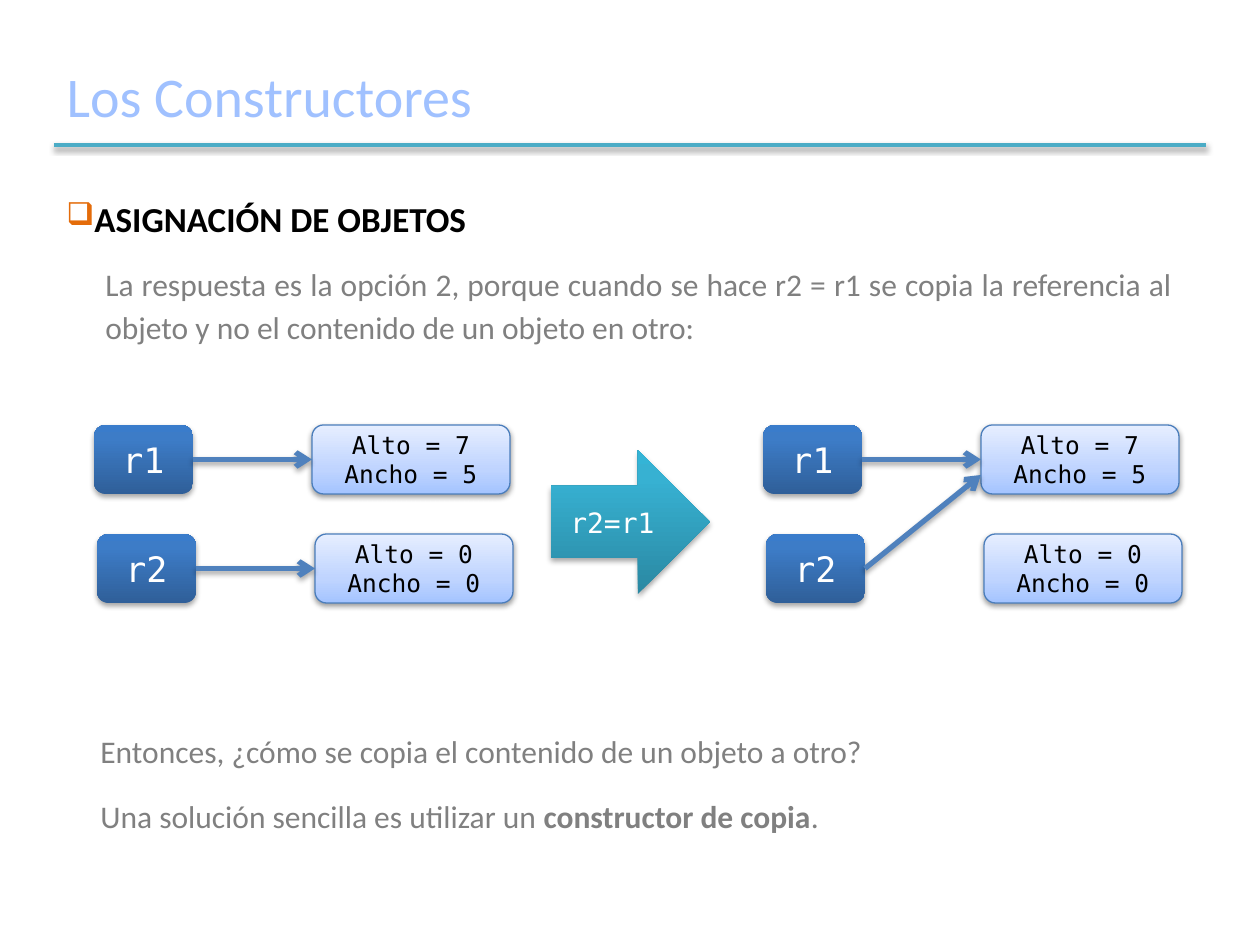
from lxml.etree import SubElement
from pptx import Presentation
from pptx.dml.color import RGBColor
from pptx.enum.shapes import MSO_CONNECTOR, MSO_SHAPE
from pptx.enum.text import MSO_ANCHOR, PP_ALIGN
from pptx.oxml.ns import qn
from pptx.util import Emu, Pt

TITLE = RGBColor(0xA0, 0xC1, 0xFF)
TEAL = RGBColor(0x4B, 0xAC, 0xC6)
BLUE = RGBColor(0x4F, 0x81, 0xBD)
OUTLINE = RGBColor(0x4B, 0x7E, 0xBC)
ORANGE = RGBColor(0xE4, 0x6C, 0x0A)
GRAY = RGBColor(0x80, 0x80, 0x80)
BLACK = RGBColor(0, 0, 0)
WHITE = RGBColor(255, 255, 255)

REF_FILL = [(0, RGBColor(0x2F, 0x5F, 0x99)), (80, RGBColor(0x3D, 0x7C, 0xC7)),
            (100, RGBColor(0x3A, 0x7C, 0xCB))]
OBJECT_FILL = [(0, RGBColor(0xA4, 0xC4, 0xFF)), (35, RGBColor(0xBF, 0xD4, 0xFF)),
               (100, RGBColor(0xE6, 0xEE, 0xFF))]
ARROW_FILL = [(0, RGBColor(0x2A, 0x88, 0xA2)), (80, RGBColor(0x37, 0xB1, 0xD2)),
              (100, RGBColor(0x34, 0xB4, 0xD6))]

SANS, MONO = "Calibri", "DejaVu Sans Mono"
HEADING = {"name": SANS, "size": Pt(20), "bold": True}
BODY = {"name": SANS, "size": Pt(18), "bold": False}
STRONG = {**BODY, "bold": True}
REF_FONT = {"name": MONO, "size": Pt(20)}
OBJECT_FONT = {"name": MONO, "size": Pt(14)}
ARROW_FONT = {"name": MONO, "size": Pt(16)}
SPACING = {"alignment": PP_ALIGN.JUSTIFY, "line_spacing": 1.14,
           "space_before": Pt(6), "space_after": Pt(6)}


def px(n):
    return Emu(round(n * 914400 / 126))


def box(*lengths):
    return [px(n) for n in lengths]


def add_run(p, text, font, color):
    r = p.add_run()
    r.text = text
    for key, value in font.items():
        setattr(r.font, key, value)
    r.font.color.rgb = color


def add_color(parent, color):
    return SubElement(parent, qn("a:srgbClr"), val=str(color))


def add_shadow(sp, alpha, dist):
    effects = SubElement(sp.element.spPr, qn("a:effectLst"))
    shadow = SubElement(effects, qn("a:outerShdw"), blurRad="40000", dist=str(dist),
                        dir="5400000", rotWithShape="0")
    SubElement(add_color(shadow, BLACK), qn("a:alpha"), val=str(alpha * 1000))


def set_gradient(sp, stops):
    sp.fill.gradient()
    sp.fill.gradient_angle = 90
    grad = sp.element.spPr.find(qn("a:gradFill"))
    stop_list = grad.find(qn("a:gsLst"))
    for old in list(stop_list):
        stop_list.remove(old)
    for position, color in stops:
        add_color(SubElement(stop_list, qn("a:gs"), pos=str(position * 1000)), color)


def add_block(s, kind, at, lines, stops, font, color, outline=None):
    sp = s.shapes.add_shape(kind, *box(*at))
    set_gradient(sp, stops)
    if outline:
        sp.line.color.rgb = outline
        sp.line.width = Pt(0.75)
        add_shadow(sp, 38, 20000)
    else:
        sp.line.fill.background()
        add_shadow(sp, 35, 23000)
    tf = sp.text_frame
    tf.vertical_anchor = MSO_ANCHOR.MIDDLE
    for i, line in enumerate(lines):
        p = tf.add_paragraph() if i else tf.paragraphs[0]
        p.alignment = PP_ALIGN.CENTER
        add_run(p, line, font, color)
    return sp


def add_line(s, ends, color, width, alpha, dist):
    line = s.shapes.add_connector(MSO_CONNECTOR.STRAIGHT, *box(*ends))
    line.line.color.rgb = color
    line.line.width = Pt(width)
    add_shadow(line, alpha, dist)
    return line


def add_pointer(s, ref, target=None, end=(0, 0)):
    line = add_line(s, (0, 0, *end), BLUE, 3, 35, 23000)
    line.begin_connect(ref, 3)
    if target:
        line.end_connect(target, 1)
    SubElement(line.element.spPr.find(qn("a:ln")), qn("a:tailEnd"), type="arrow")


def add_text(s, at, paragraphs):
    tf = s.shapes.add_textbox(*box(*at)).text_frame
    tf.word_wrap = True
    for i, (bullet, runs) in enumerate(paragraphs):
        p = tf.add_paragraph() if i else tf.paragraphs[0]
        for key, value in SPACING.items():
            setattr(p, key, value)
        pPr = p._p.get_or_add_pPr()
        if bullet:
            pPr.set("marL", str(px(27)))
            pPr.set("indent", str(-px(27)))
            add_color(SubElement(pPr, qn("a:buClr")), ORANGE)
            SubElement(pPr, qn("a:buSzPct"), val="90000")
            SubElement(pPr, qn("a:buChar"), char=bullet)
        else:
            p.level = 1
            pPr.set("marL", str(px(39)))
            pPr.set("indent", "0")
        for text, font, color in runs:
            add_run(p, text, font, color)


def add_title(s, text):
    title = s.shapes.title
    title.left, title.top, title.width, title.height = box(54, 45, 1153, 100)
    tf = title.text_frame
    tf.vertical_anchor = MSO_ANCHOR.MIDDLE
    p = tf.paragraphs[0]
    p.alignment = PP_ALIGN.LEFT
    add_run(p, text, {"name": SANS, "size": Pt(32)}, TITLE)
    add_line(s, (54, 145, 1206, 145), TEAL, 2, 38, 20000)


def add_state(s, left, assigned):
    rows = [("r1", ["Alto = 7", "Ancho = 5"]), ("r2", ["Alto = 0", "Ancho = 0"])]
    for i, (name, values) in enumerate(rows):
        x, y = left + 3 * i, 425 + 109 * i
        ref = add_block(s, MSO_SHAPE.ROUNDED_RECTANGLE, (x, y, 99, 69), [name],
                        REF_FILL, REF_FONT, WHITE)
        target = add_block(s, MSO_SHAPE.ROUNDED_RECTANGLE, (x + 218, y, 198, 69), values,
                           OBJECT_FILL, OBJECT_FONT, BLACK, OUTLINE)
        if assigned and i:
            add_pointer(s, ref, end=(left + 218, 475))
        else:
            add_pointer(s, ref, target)


def main():
    prs = Presentation()
    prs.slide_width, prs.slide_height = box(1260, 945)
    s = prs.slides.add_slide(prs.slide_layouts[5])
    add_title(s, "Los Constructores")
    add_text(s, (54, 185, 1131, 169), [
        ("❑", [("ASIGNACIÓN DE OBJETOS", HEADING, BLACK)]),
        (None, [("La respuesta es la opción 2, porque cuando se hace r2 = r1 se copia la "
                 "referencia al objeto y no el contenido de un objeto en otro:", BODY, GRAY)]),
    ])
    add_text(s, (49, 721, 1131, 121), [
        (None, [("Entonces, ¿cómo se copia el contenido de un objeto a otro?", BODY, GRAY)]),
        (None, [("Una solución sencilla es utilizar un ", BODY, GRAY),
                ("constructor de copia", STRONG, GRAY), (".", BODY, GRAY)]),
    ])
    add_state(s, 94, False)
    add_state(s, 763, True)
    add_block(s, MSO_SHAPE.RIGHT_ARROW, (551, 450, 159, 144), ["r2=r1"],
              ARROW_FILL, ARROW_FONT, WHITE)
    prs.save("out.pptx")


if __name__ == "__main__":
    main()
